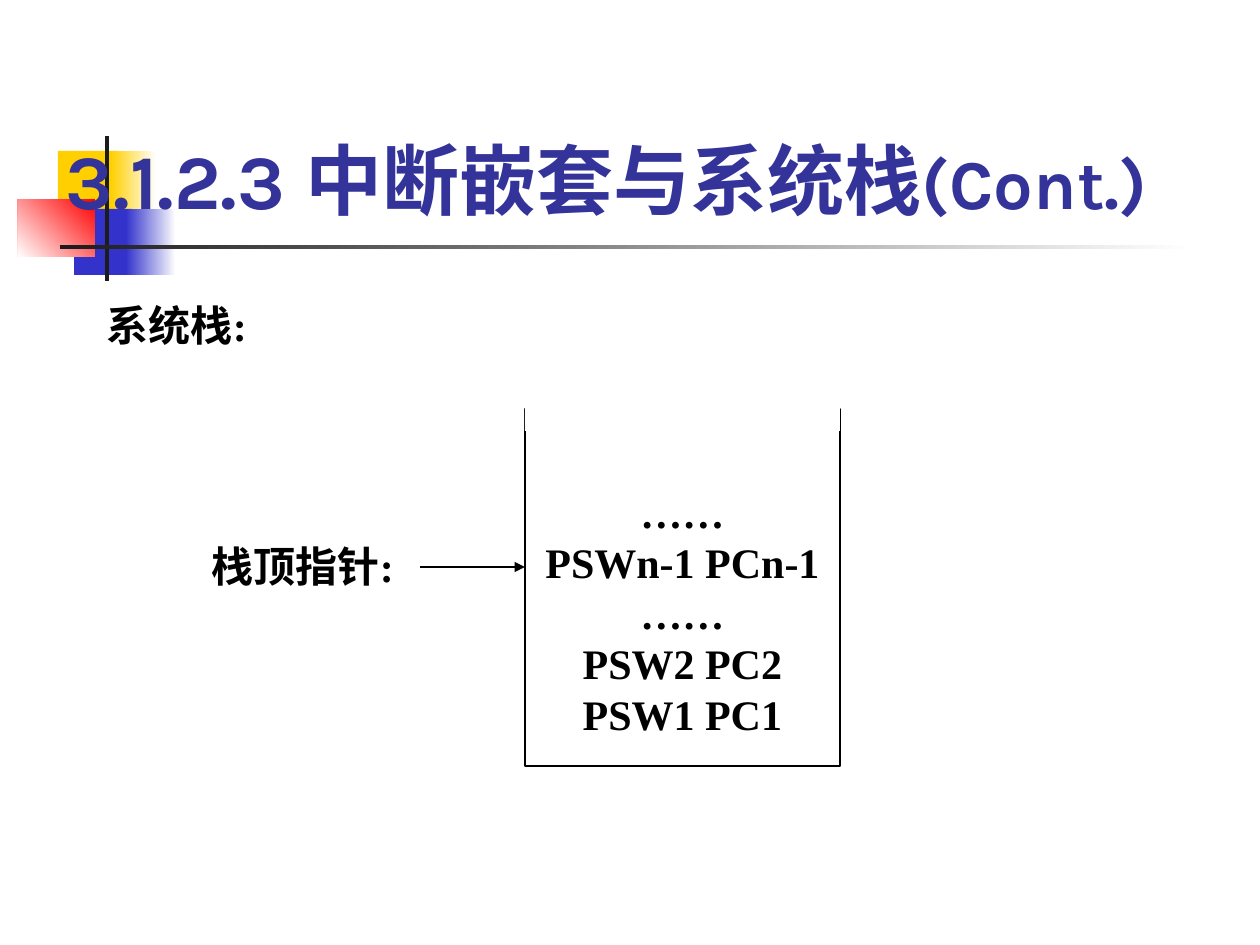
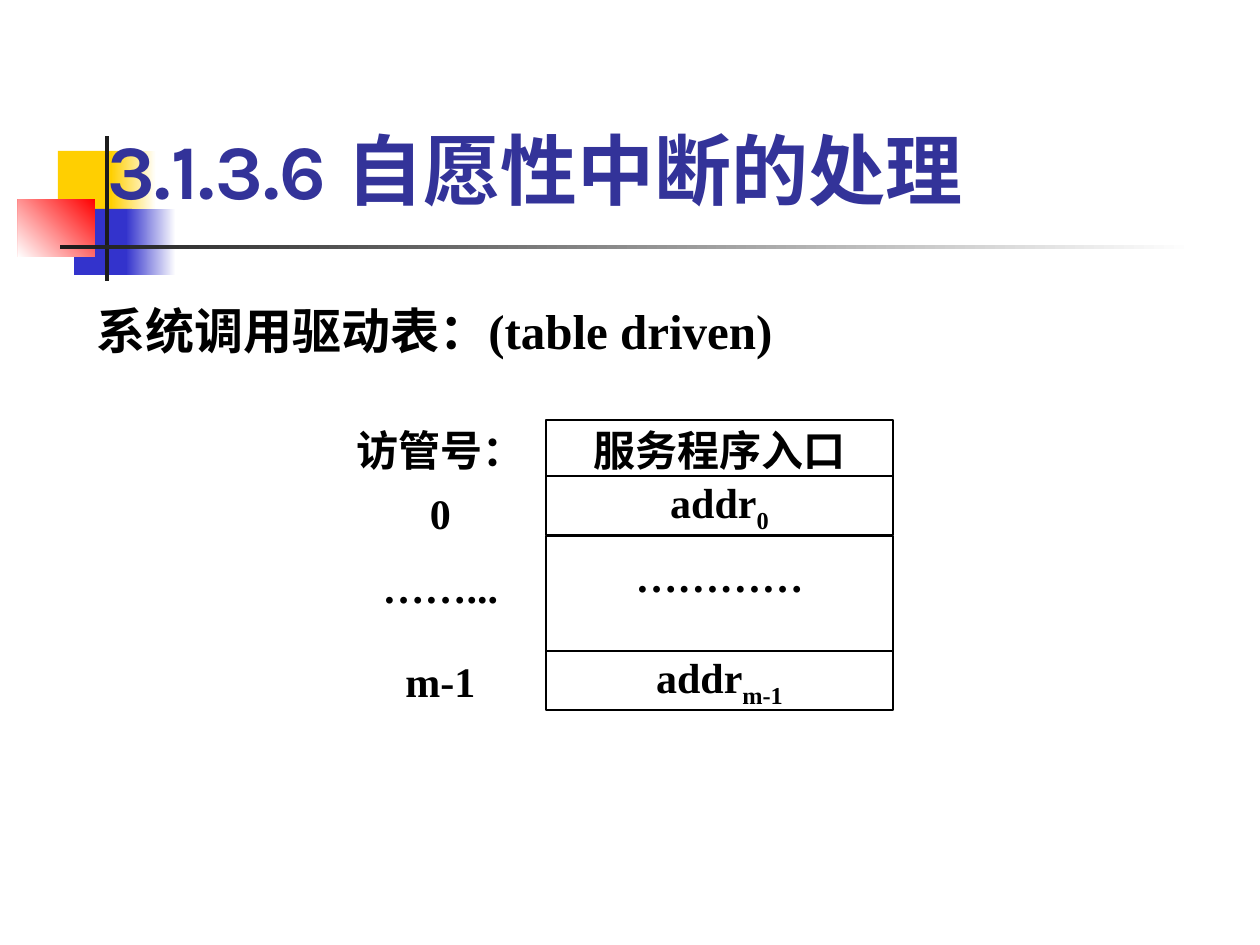
from lxml import etree
from pptx import Presentation
from pptx.dml.color import RGBColor
from pptx.enum.shapes import MSO_CONNECTOR, MSO_SHAPE
from pptx.enum.text import MSO_ANCHOR, MSO_AUTO_SIZE, PP_ALIGN
from pptx.oxml.ns import qn
from pptx.util import Emu, Pt

RECTANGLE, STRAIGHT = MSO_SHAPE.RECTANGLE, MSO_CONNECTOR.STRAIGHT
TOP, MIDDLE, BOTTOM = MSO_ANCHOR.TOP, MSO_ANCHOR.MIDDLE, MSO_ANCHOR.BOTTOM
LEFT, CENTER = PP_ALIGN.LEFT, PP_ALIGN.CENTER
FIXED, GROW = MSO_AUTO_SIZE.NONE, MSO_AUTO_SIZE.SHAPE_TO_FIT_TEXT

PX = 914400 / 126
SLIDE_SIZE = (1260, 945)
BLACK, WHITE, INK = "000000", "FFFFFF", "1C1C1C"
YELLOW, BLUE, RED, TITLE_BLUE = "FFCF01", "3333CC", "FF0000", "333399"
TITLE_FONT, BODY_FONT = "Karla", "Times New Roman"
TITLE_STYLE = dict(font=TITLE_FONT, color=TITLE_BLUE, size=44, anchor=BOTTOM)
CELL_STYLE = dict(align=CENTER, anchor=MIDDLE, wrap=False)
SIDE_INSET, EDGE_INSET, LINE_HEIGHT = 13, 6, 50

DECORATION = [
    ((58, 151, 60, 66), YELLOW),
    ((111, 151, 45, 66), (WHITE, YELLOW, 180)),
    ((74, 209, 58, 66), BLUE),
    ((126, 209, 50, 66), (WHITE, BLUE, 180)),
    ((18, 199, 77, 58), (RED, WHITE, 225)),
    ((105, 136, 4, 145), INK),
    ((60, 245, 1134, 4), (WHITE, INK, 180)),
]

STACK_TITLE = [["3.1.2.3 中断嵌套与系统栈", ("(Cont.)", dict(size=40))]]
STACK_TITLE_BOX = (53, 73, 1166, 158)
STACK_ENTRIES = [["……"], ["PSWn-1 PCn-1"], ["……"], ["PSW2 PC2"], ["PSW1 PC1"]]
STACK_BOX = (525, 409, 315, 357)
STACK_OPENING = (525, 378, 315, 53)
STACK_LABELS = [("栈顶指针:", (199, 535, 199, 63)), ("系统栈:", (94, 294, 199, 63))]
POINTER_START, POINTER_Y = 420, 567

CALL_TITLE = [["3.1.3.6 自愿性中断的处理"]]
CALL_TITLE_BOX = (94, 63, 1071, 158)
CALL_HEADING = [["系统调用驱动表：(table driven)"]]
CALL_HEADING_BOX = (84, 294, 1092, 72)
SUBSCRIPT = dict(baseline=-25000)
ENTRY_LEFT, ENTRY_WIDTH = 546, 347
NUMBER_LEFT, NUMBER_WIDTH = 346, 189
ROW_HEIGHT = 59
ENTRIES = [
    (420, ROW_HEIGHT, ["服务程序入口"], 0),
    (476, ROW_HEIGHT, ["addr", ("0", SUBSCRIPT)], 0),
    (536, 129, ["…………"], LINE_HEIGHT),
    (651, ROW_HEIGHT, ["addr", ("m-1", SUBSCRIPT)], 0),
]
NUMBERS = [(420, "访管号："), (483, "0"), (557, "……..."), (651, "m-1")]


def px(*lengths):
    return [Emu(round(length * PX)) for length in lengths]


def rgb(color):
    return RGBColor.from_string(color)


def write(shape, paragraphs, font=BODY_FONT, color=BLACK, size=24, align=LEFT,
          anchor=TOP, wrap=True, fit=FIXED, above=0, below=0):
    frame = shape.text_frame
    frame.word_wrap = wrap
    frame.auto_size = fit
    frame.vertical_anchor = anchor
    frame.margin_left, frame.margin_right = px(SIDE_INSET, SIDE_INSET)
    frame.margin_top, frame.margin_bottom = px(EDGE_INSET + above, EDGE_INSET + below)
    for index, runs in enumerate(paragraphs):
        paragraph = frame.add_paragraph() if index else frame.paragraphs[0]
        paragraph.alignment = align
        for item in runs:
            text, change = (item, {}) if isinstance(item, str) else item
            run = paragraph.add_run()
            run.text = text
            run.font.name = font
            run.font.size = Pt(change.get("size", size))
            run.font.bold = True
            run.font.color.rgb = rgb(color)
            if "baseline" in change:
                run._r.get_or_add_rPr().set("baseline", str(change["baseline"]))


def add_rectangle(slide, box, fill=WHITE, line=None):
    shape = slide.shapes.add_shape(RECTANGLE, *px(*box))
    shape.shadow.inherit = False
    if isinstance(fill, str):
        shape.fill.solid()
        shape.fill.fore_color.rgb = rgb(fill)
    else:
        *colors, angle = fill
        shape.fill.gradient()
        shape.fill.gradient_angle = angle
        for stop, color in zip(shape.fill.gradient_stops, colors):
            stop.color.rgb = rgb(color)
    if line:
        shape.line.color.rgb = rgb(line)
        shape.line.width = Pt(0.75)
    else:
        shape.line.fill.background()
    return shape


def add_label(slide, box, paragraphs, **style):
    write(slide.shapes.add_textbox(*px(*box)), paragraphs, **style)


def add_arrow(slide, start, end):
    arrow = slide.shapes.add_connector(STRAIGHT, *px(*start, *end))
    arrow.line.color.rgb = rgb(BLACK)
    arrow.line.width = Pt(0.75)
    etree.SubElement(arrow.line._get_or_add_ln(), qn("a:tailEnd"), type="triangle")
    etree.SubElement(arrow.element.spPr, qn("a:effectLst"))


def add_titled_slide(presentation, layout, title, box):
    slide = presentation.slides.add_slide(layout)
    shape = slide.shapes.title
    shape.left, shape.top, shape.width, shape.height = px(*box)
    write(shape, title, **TITLE_STYLE)
    return slide


def decorate_layout(layout, slide):
    tree = layout.shapes.element
    for position, (box, fill) in enumerate(DECORATION, start=2):
        tree.insert(position, add_rectangle(slide, box, fill).element)


def build_stack_slide(presentation, layout):
    slide = add_titled_slide(presentation, layout, STACK_TITLE, STACK_TITLE_BOX)
    decorate_layout(layout, slide)
    stack = add_rectangle(slide, STACK_BOX, line=BLACK)
    write(stack, STACK_ENTRIES, above=LINE_HEIGHT, **CELL_STYLE)
    add_arrow(slide, (POINTER_START, POINTER_Y), (STACK_BOX[0], POINTER_Y))
    for text, box in STACK_LABELS:
        add_label(slide, box, [[text]], fit=GROW)
    add_rectangle(slide, STACK_OPENING)


def build_call_slide(presentation, layout):
    slide = add_titled_slide(presentation, layout, CALL_TITLE, CALL_TITLE_BOX)
    add_label(slide, CALL_HEADING_BOX, CALL_HEADING, size=28, fit=GROW)
    for top, height, runs, below in ENTRIES:
        entry = add_rectangle(slide, (ENTRY_LEFT, top, ENTRY_WIDTH, height), line=BLACK)
        write(entry, [runs], below=below, **CELL_STYLE)
    for top, text in NUMBERS:
        box = (NUMBER_LEFT, top, NUMBER_WIDTH, ROW_HEIGHT)
        add_label(slide, box, [[text]], **CELL_STYLE)


def main():
    presentation = Presentation()
    presentation.slide_width, presentation.slide_height = px(*SLIDE_SIZE)
    layout = presentation.slide_layouts[5]
    build_stack_slide(presentation, layout)
    build_call_slide(presentation, layout)
    presentation.save("out.pptx")


if __name__ == "__main__":
    main()
